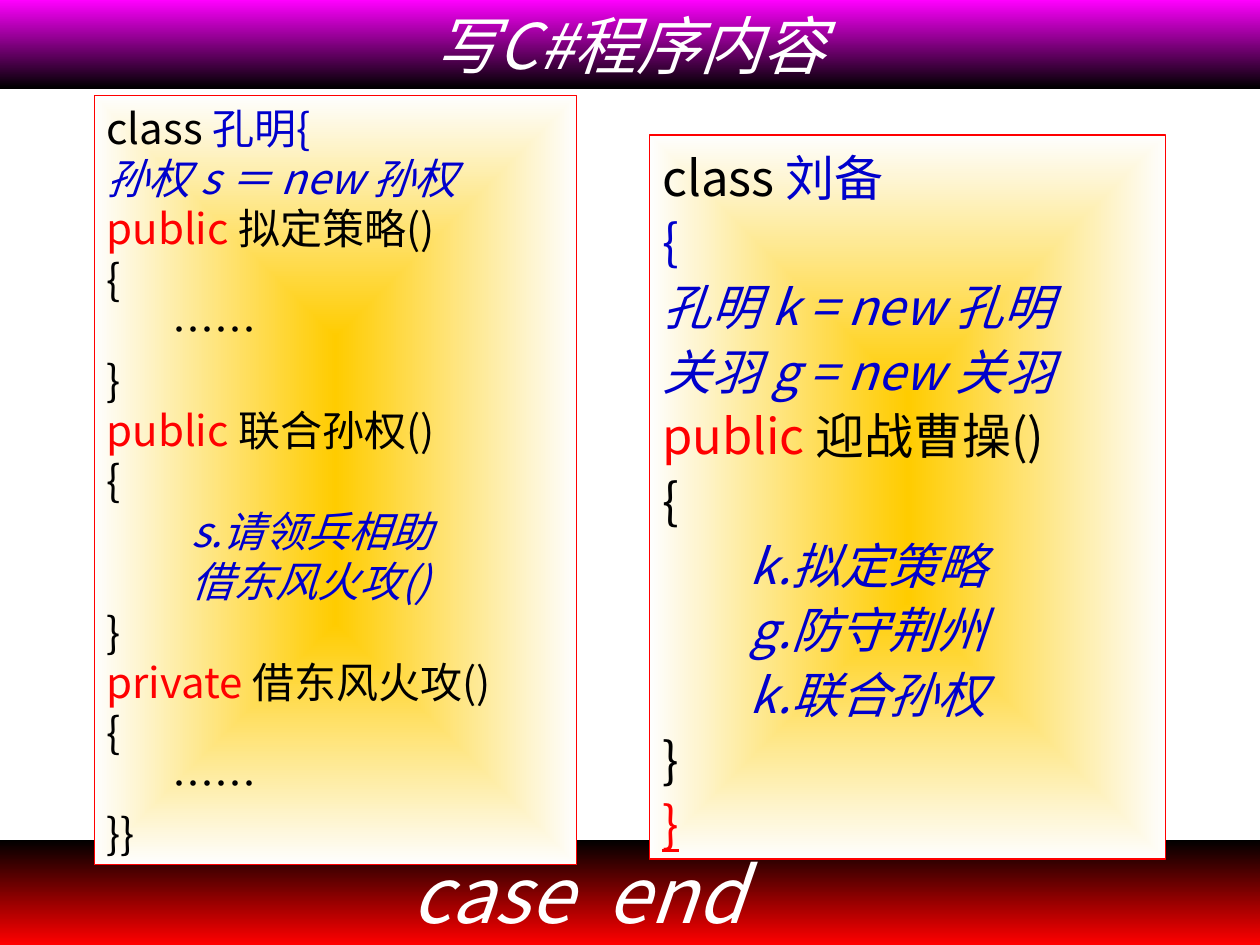
from lxml import etree
from pptx import Presentation
from pptx import util as u
from pptx.dml.color import RGBColor
from pptx.enum import shapes, text
from pptx.oxml.ns import qn

FONT = "Noto Sans CJK SC"
COLORS = {
    "black": "000000", "white": "FFFFFF", "blue": "0000CC", "red": "FF0000",
    "magenta": "FF00FF", "gold": "FFCC00", "pale": "FEFEFE",
}
# style name: (colour, italic, underline)
STYLES = {
    "plain": ("black", False, False),
    "name": ("blue", False, False),
    "keyword": ("red", False, False),
    "object": ("blue", True, False),
    "closing": ("red", False, True),
    "heading": ("white", True, False),
}

KONGMING = [
    [("class ", "plain"), ("孔明{", "name")],
    [("孙权 s ＝ new 孙权", "object")],
    [("public ", "keyword"), ("拟定策略()", "plain")],
    [("{", "plain")],
    [("       ……", "plain")],
    [("}", "plain")],
    [("public ", "keyword"), ("联合孙权()", "plain")],
    [("{", "plain")],
    [("         s.请领兵相助", "object")],
    [("         借东风火攻()", "object")],
    [("}", "plain")],
    [("private ", "keyword"), ("借东风火攻()", "plain")],
    [("{", "plain")],
    [("       ……", "plain")],
    [("}}", "plain")],
]
LIUBEI = [
    [("class ", "plain"), ("刘备", "name")],
    [("{", "name")],
    [("孔明 k = new 孔明", "object")],
    [("关羽 g = new 关羽", "object")],
    [("public ", "keyword"), ("迎战曹操()", "plain")],
    [("{", "plain")],
    [("        k.拟定策略", "object")],
    [("        g.防守荆州", "object")],
    [("        k.联合孙权", "object")],
    [("}", "plain")],
    [("}", "closing")],
]


def rgb(name):
    return RGBColor.from_string(COLORS[name])


def place(shape, left, top, width, height):
    shape.left, shape.top = u.Cm(left), u.Cm(top)
    shape.width, shape.height = u.Cm(width), u.Cm(height)


def fill_gradient(shape, first, last, from_centre=False):
    """Blend downwards, or outwards from the centre."""
    shape.fill.gradient()
    for stop, color in zip(shape.fill.gradient_stops, (first, last)):
        stop.color.rgb = rgb(color)
    shape.fill.gradient_angle = 270
    if from_centre:
        gradient = shape._element.spPr.find(qn("a:gradFill"))
        gradient.remove(gradient.find(qn("a:lin")))
        route = etree.SubElement(gradient, qn("a:path"), path="rect")
        etree.SubElement(route, qn("a:fillToRect"),
                         l="50000", t="50000", r="50000", b="50000")


def apply_style(font, style):
    color, font.italic, underline = STYLES[style]
    font.color.rgb = rgb(color)
    if underline:
        font.underline = True


def write_lines(shape, lines, size, spacing, align):
    """Write one paragraph per line; spacing is a multiple of the size."""
    frame = shape.text_frame
    frame.word_wrap = True
    frame.auto_size = text.MSO_AUTO_SIZE.NONE
    frame.vertical_anchor = text.MSO_ANCHOR.MIDDLE
    for index, parts in enumerate(lines):
        paragraph = frame.add_paragraph() if index else frame.paragraphs[0]
        paragraph.alignment = align
        paragraph.line_spacing = u.Pt(size * spacing)
        paragraph.space_before = u.Pt(0)
        paragraph.font.size = u.Pt(size)
        paragraph.font.name = FONT
        if len(parts) == 1:
            apply_style(paragraph.font, parts[0][1])
        defaults = paragraph._p.pPr.find(qn("a:defRPr"))
        etree.SubElement(defaults, qn("a:ea"), typeface=FONT)
        for words, style in parts:
            run = paragraph.add_run()
            run.text = words
            if len(parts) > 1:
                apply_style(run.font, style)


def add_rectangle(slide, *box):
    shape = slide.shapes.add_shape(shapes.MSO_SHAPE.RECTANGLE, 0, 0, 0, 0)
    place(shape, *box)
    shape.shadow.inherit = False
    return shape


def add_title(slide):
    title = slide.shapes.title
    place(title, 0, 0, 25.4, 1.78)
    fill_gradient(title, "magenta", "black")
    write_lines(title, [[("写C#程序内容", "heading")]], 36, 1.2,
                text.PP_ALIGN.CENTER)


def add_footer(slide):
    footer = add_rectangle(slide, 0, 16.93, 25.4, 2.12)
    fill_gradient(footer, "black", "red")
    footer.line.fill.background()
    footer.text_frame.margin_left = u.Cm(8.3)
    write_lines(footer, [[("case  end", "heading")]], 44, 1.2,
                text.PP_ALIGN.LEFT)


def add_code_panel(slide, box, lines, size, spacing):
    panel = add_rectangle(slide, *box)
    fill_gradient(panel, "gold", "pale", from_centre=True)
    panel.line.color.rgb = rgb("red")
    panel.line.width = u.Pt(0.75)
    write_lines(panel, lines, size, spacing, text.PP_ALIGN.LEFT)


def main():
    presentation = Presentation()
    presentation.slide_width, presentation.slide_height = u.Cm(25.4), u.Cm(19.05)
    slide = presentation.slides.add_slide(presentation.slide_layouts[5])
    add_title(slide)
    add_footer(slide)
    add_code_panel(slide, (13.1, 2.72, 10.4, 14.6), LIUBEI, 28, 1.32)
    add_code_panel(slide, (1.9, 1.93, 9.73, 15.5), KONGMING, 24, 1.2)
    presentation.save("out.pptx")


if __name__ == "__main__":
    main()
